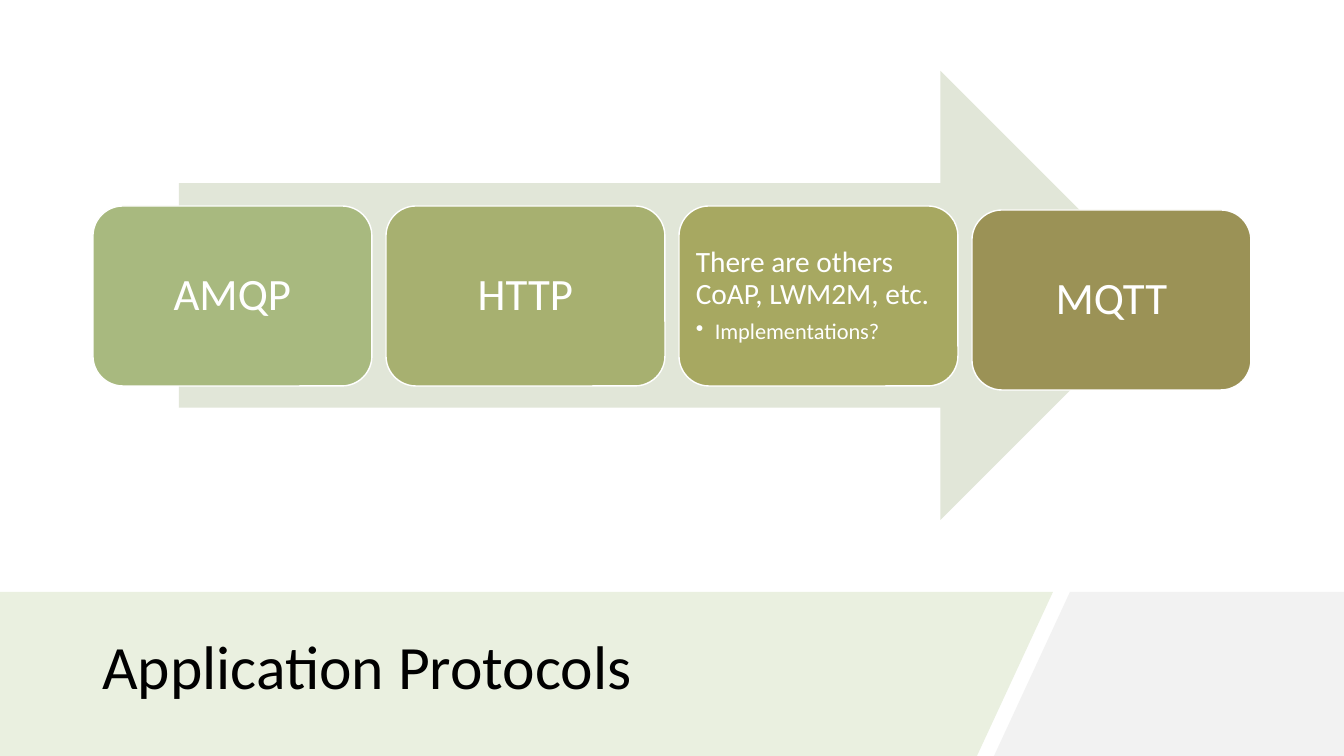
from lxml.etree import SubElement
from pptx import Presentation
from pptx.dml.color import RGBColor
from pptx.enum.shapes import MSO_SHAPE
from pptx.enum.text import MSO_ANCHOR, PP_ALIGN
from pptx.oxml.ns import qn
from pptx.util import Pt

SCALE = 914400 / 100.8  # EMU per pixel

THEME = {
    "font": "Calibri",
    "title": "000000", "text": "FFFFFF", "outline": "FFFFFF",
    "arrow": "E1E6D8", "green band": "EAF0E0", "grey band": "F2F2F2",
    "title size": 44, "name size": 32, "note size": 21, "bullet size": 16,
}

TITLE = "Application Protocols"
# Each card: fill, downward shift, paragraphs as (text, size role, bulleted)
CARDS = [
    ("A8B97F", 0, [("AMQP", "name size", False)]),
    ("A7B070", 0, [("HTTP", "name size", False)]),
    ("A7A861", 0, [("There are others CoAP, LWM2M, etc.", "note size", False),
                   ("Implementations?", "bullet size", True)]),
    ("9B9256", 4, [("MQTT", "name size", False)]),
]
BANDS = [
    ("grey band", [(1070, 592), (1344, 592), (1344, 756), (994, 756)]),
    ("green band", [(0, 592), (1053, 592), (977, 756), (0, 756)]),
]

PAGE_SIZE = (1344, 756)
TITLE_PLACE = (92, 609, 890, 121)
ARROW_PLACE = (179, 71, 986, 449)
CARD_LEFT, CARD_TOP, CARD_WIDTH, CARD_HEIGHT, CARD_STEP = 93, 206, 279, 180, 293
# The rounded corners add about nine pixels to the inset
CARD_INSET, BULLET_INDENT = 8, 19


def emu(pixels):
    """Turn pixels into EMU."""
    return round(pixels * SCALE)


def apply(target, values):
    """Set every attribute named in a dict."""
    for name, value in values.items():
        setattr(target, name, value)


def paint(shape, fill, outline=None):
    """Give a shape a flat fill, an optional outline and no shadow."""
    shape.shadow.inherit = False
    shape.fill.solid()
    shape.fill.fore_color.rgb = RGBColor.from_string(fill)
    if outline:
        shape.line.color.rgb = RGBColor.from_string(outline)
        shape.line.width = Pt(1)
    else:
        shape.line.fill.background()


def write(para, text, size, color, align):
    """Fill a paragraph with one formatted span."""
    apply(para, {"alignment": align, "line_spacing": 0.9,
                 "space_before": Pt(0), "space_after": Pt(0)})
    span = para.add_run()
    span.text = text
    apply(span.font, {"name": THEME["font"], "size": Pt(THEME[size])})
    span.font.color.rgb = RGBColor.from_string(THEME[color])


def add_bullet(para):
    """Put a hanging bullet before a paragraph."""
    properties = para._p.get_or_add_pPr()
    properties.set("marL", str(emu(BULLET_INDENT)))
    properties.set("indent", str(-emu(BULLET_INDENT)))
    SubElement(properties, qn("a:buChar")).set("char", "•")


def add_band(page, role, points):
    """Draw one slanted footer band."""
    builder = page.shapes.build_freeform(*points[0], scale=SCALE)
    builder.add_line_segments(points[1:], close=True)
    paint(builder.convert_to_shape(), THEME[role])


def place_title(page):
    """Move the title placeholder onto the bands and fill it."""
    title = page.shapes.title
    title.element.getparent().append(title.element)
    apply(title, dict(zip(("left", "top", "width", "height"), map(emu, TITLE_PLACE))))
    apply(title.text_frame, {"vertical_anchor": MSO_ANCHOR.MIDDLE, "word_wrap": True})
    write(title.text_frame.paragraphs[0], TITLE, "title size", "title", PP_ALIGN.LEFT)


def add_card(page, index, fill, shift, lines):
    """Draw one protocol card in its column."""
    place = (CARD_LEFT + index * CARD_STEP, CARD_TOP + shift, CARD_WIDTH, CARD_HEIGHT)
    card = page.shapes.add_shape(MSO_SHAPE.ROUNDED_RECTANGLE, *map(emu, place))
    paint(card, fill, THEME["outline"])
    frame = card.text_frame
    apply(frame, {"word_wrap": True, "vertical_anchor": MSO_ANCHOR.MIDDLE})
    apply(frame, {f"margin_{side}": emu(CARD_INSET)
                  for side in ("left", "top", "right", "bottom")})
    align = PP_ALIGN.CENTER if len(lines) == 1 else PP_ALIGN.LEFT
    for number, (text, size, bulleted) in enumerate(lines):
        para = frame.add_paragraph() if number else frame.paragraphs[0]
        write(para, text, size, "text", align)
        if number < len(lines) - 1:
            para.space_after = Pt(7)
        if bulleted:
            add_bullet(para)


def build():
    """Build the deck and save it."""
    deck = Presentation()
    deck.slide_width, deck.slide_height = map(emu, PAGE_SIZE)
    page = deck.slides.add_slide(deck.slide_layouts[5])
    for role, points in BANDS:
        add_band(page, role, points)
    place_title(page)
    arrow = page.shapes.add_shape(MSO_SHAPE.RIGHT_ARROW, *map(emu, ARROW_PLACE))
    paint(arrow, THEME["arrow"])
    for index, card in enumerate(CARDS):
        add_card(page, index, *card)
    deck.save("out.pptx")


build()
